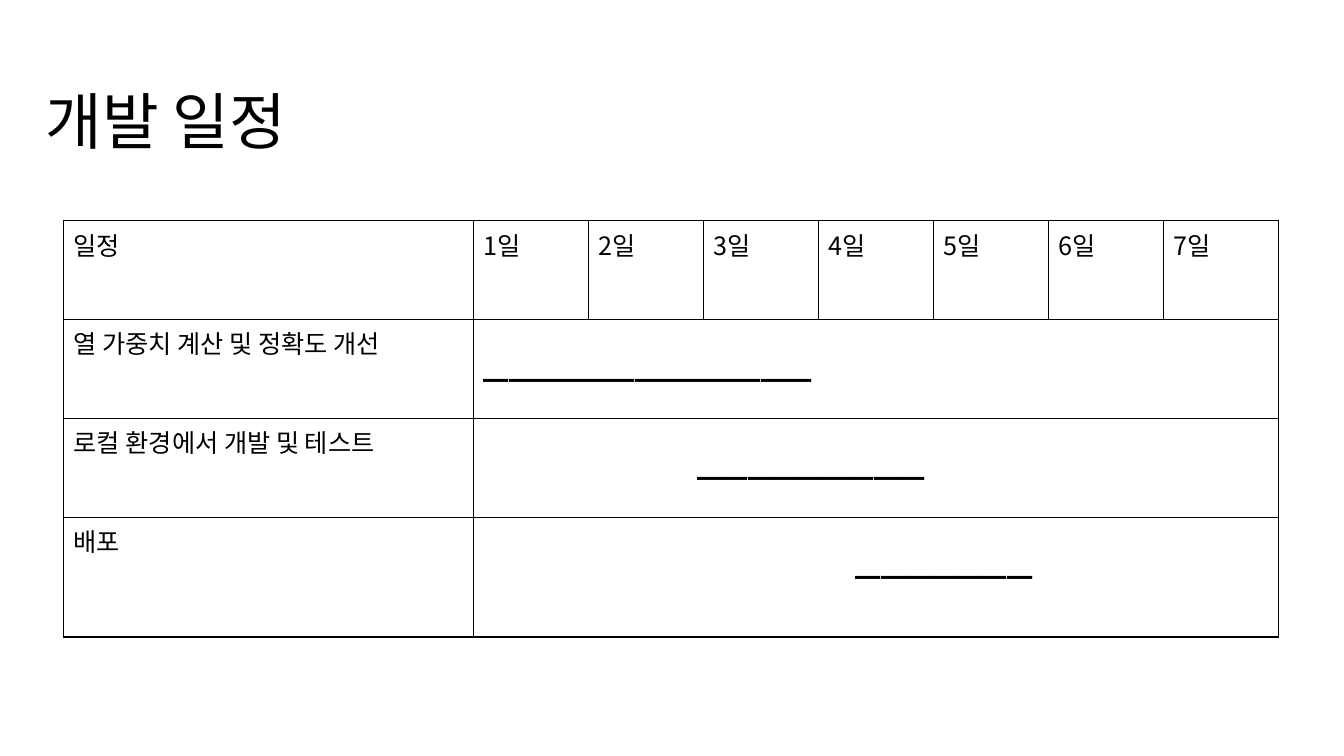
from lxml.etree import SubElement
from pptx import Presentation
from pptx.dml.color import RGBColor
from pptx.enum.text import MSO_ANCHOR, MSO_AUTO_SIZE, PP_ALIGN
from pptx.oxml.ns import qn
from pptx.util import Inches, Pt

TITLE = "개발 일정"
HEADER = ["일정"] + [f"{day}일" for day in range(1, 8)]
# task, left inset of its bar in inches, bar length in characters
TASKS = [
    ("열 가중치 계산 및 정확도 개선", 0.1, 13),
    ("로컬 환경에서 개발 및 테스트", 2.22, 9),
    ("배포", 3.79, 7),
]
COLUMN_WIDTHS = [4.07] + [1.14] * 7
ROW_HEIGHTS = [0.98, 0.98, 0.98, 1.19]
BAR_TOP_INSET = 0.41
FONT = "Noto Sans CJK KR"
BLACK = RGBColor(0, 0, 0)


def write_text(text_frame, text, size):
    paragraph = text_frame.paragraphs[0]
    paragraph.alignment = PP_ALIGN.LEFT
    run = paragraph.add_run()
    run.text = text
    run.font.name = FONT
    run.font.size = Pt(size)
    run.font.bold = False
    run.font.color.rgb = BLACK
    SubElement(run.font._element, qn("a:ea"), typeface=FONT)
    return paragraph


def style_cell(cell):
    properties = cell._tc.get_or_add_tcPr()
    for side in ("lnL", "lnR", "lnT", "lnB"):
        line = SubElement(properties, qn(f"a:{side}"), w=str(Pt(1)))
        fill = SubElement(line, qn("a:solidFill"))
        SubElement(fill, qn("a:srgbClr"), val=str(BLACK))
    cell.fill.background()


presentation = Presentation()
presentation.slide_width = Inches(13.33)
presentation.slide_height = Inches(7.5)
slide = presentation.slides.add_slide(presentation.slide_layouts[5])

title = slide.shapes.title
title.left, title.top = Inches(0.35), Inches(0.61)
title.width, title.height = Inches(11.5), Inches(1.25)
title.text_frame.auto_size = MSO_AUTO_SIZE.NONE
title.text_frame.vertical_anchor = MSO_ANCHOR.MIDDLE
write_text(title.text_frame, TITLE, 44).line_spacing = 0.9

table = slide.shapes.add_table(
    len(ROW_HEIGHTS), len(COLUMN_WIDTHS), Inches(0.63), Inches(2.19),
    Inches(sum(COLUMN_WIDTHS)), Inches(sum(ROW_HEIGHTS))).table
table.first_row = False
table.horz_banding = False
for column, width in zip(table.columns, COLUMN_WIDTHS):
    column.width = Inches(width)
for row, height in zip(table.rows, ROW_HEIGHTS):
    row.height = Inches(height)
for cell in table.iter_cells():
    style_cell(cell)

for index, label in enumerate(HEADER):
    write_text(table.cell(0, index).text_frame, label, 18)
for index, (task, bar_inset, bar_length) in enumerate(TASKS, start=1):
    write_text(table.cell(index, 0).text_frame, task, 18)
    bar = table.cell(index, 1)
    bar.merge(table.cell(index, len(HEADER) - 1))
    bar.margin_left = Inches(bar_inset)
    bar.margin_top = Inches(BAR_TOP_INSET)
    write_text(bar.text_frame, "━" * bar_length, 18)

presentation.save("out.pptx")
